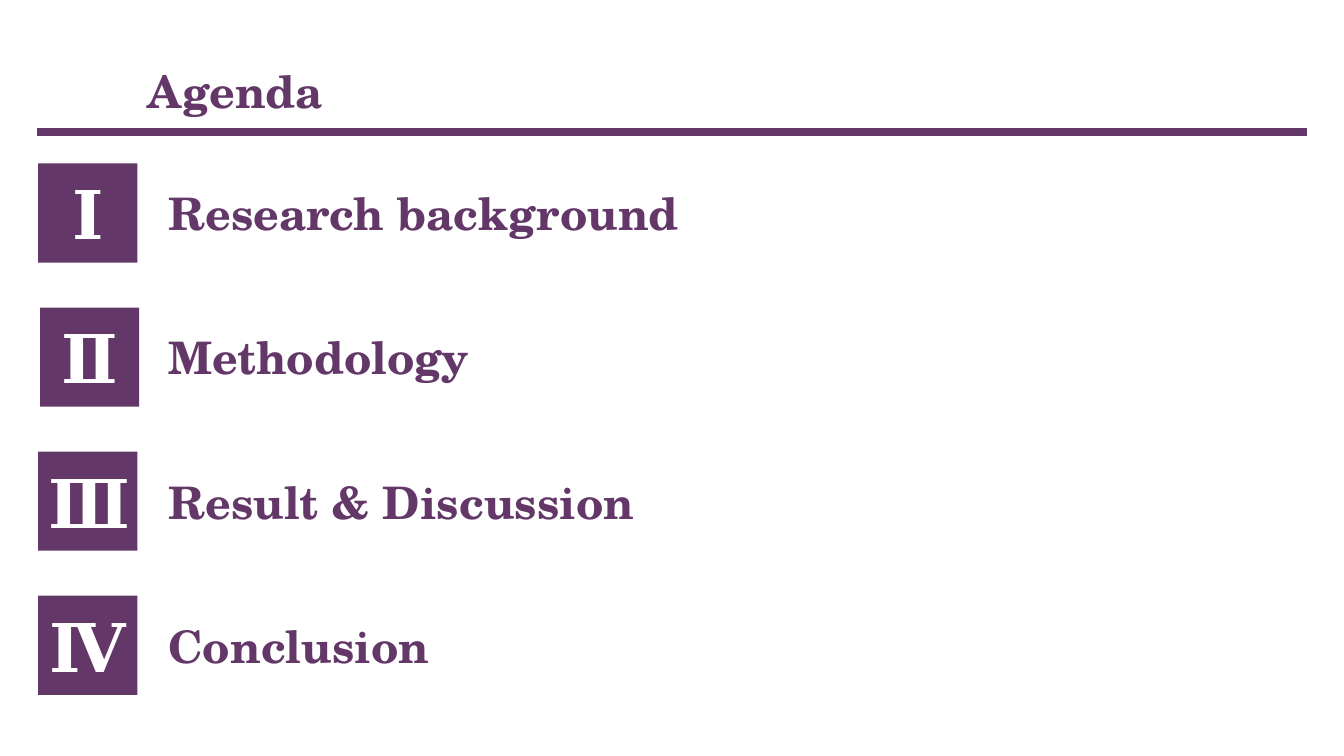
from lxml import etree
from pptx import Presentation
from pptx import util as u
from pptx.dml import color
from pptx.enum import shapes, text
from pptx.oxml import ns

PURPLE = "633869"
WHITE = "FFFFFF"


def rgb(value):
    return color.RGBColor.from_string(value)


class AgendaSlide:
    """Draws agenda elements on one slide in a shared style, in points."""

    heading_font = "TeX Gyre Schola"
    numeral_font = "Times New Roman"

    def __init__(self, slide):
        self.slide = slide

    def set_label(self, text_frame, content, font_name, size, tint):
        text_frame.text = content
        run = text_frame.paragraphs[0].runs[0]
        run.font.name = font_name
        run.font.size = u.Pt(size)
        run.font.bold = True
        run.font.color.rgb = rgb(tint)
        return run

    def heading(self, content, left, top, width):
        box = self.slide.shapes.add_textbox(
            u.Pt(left), u.Pt(top), u.Pt(width), u.Pt(46))
        frame = box.text_frame
        frame.word_wrap = True
        frame.auto_size = text.MSO_AUTO_SIZE.SHAPE_TO_FIT_TEXT
        self.set_label(frame, content, self.heading_font, 32, PURPLE)

    def badge(self, numeral, left, top, side):
        shape = self.slide.shapes.add_shape(
            shapes.MSO_SHAPE.RECTANGLE,
            u.Pt(left), u.Pt(top), u.Pt(side), u.Pt(side))
        shape.shadow.inherit = False
        shape.fill.solid()
        shape.fill.fore_color.rgb = rgb(PURPLE)
        shape.line.fill.background()
        frame = shape.text_frame
        frame.vertical_anchor = text.MSO_ANCHOR.MIDDLE
        run = self.set_label(frame, numeral, self.numeral_font, 48, WHITE)
        frame.paragraphs[0].alignment = text.PP_ALIGN.CENTER
        properties = run._r.get_or_add_rPr()
        east_asian = etree.SubElement(properties, ns.qn("a:ea"))
        east_asian.set("typeface", self.numeral_font)

    def rule(self, left, right, top, weight):
        line = self.slide.shapes.add_connector(
            shapes.MSO_CONNECTOR.STRAIGHT,
            u.Pt(left), u.Pt(top), u.Pt(right), u.Pt(top))
        line.line.color.rgb = rgb(PURPLE)
        line.line.width = u.Pt(weight)
        etree.SubElement(line._element.spPr, ns.qn("a:effectLst"))


def main():
    presentation = Presentation()
    presentation.slide_width = u.Pt(960)
    presentation.slide_height = u.Pt(540)
    slide = presentation.slides.add_slide(presentation.slide_layouts[6])
    agenda = AgendaSlide(slide)

    agenda.heading("Agenda", 98.6, 41.8, 835)
    agenda.rule(26.6, 933.4, 94.5, 6)

    topics = [
        ("Ⅰ", "Research background", 27.3),
        ("Ⅱ", "Methodology", 28.7),
        ("Ⅲ", "Result & Discussion", 27.3),
        ("Ⅳ", "Conclusion", 27.3),
    ]
    first_top, pitch = 116.8, 102.9
    for index, (numeral, topic, badge_left) in enumerate(topics):
        top = first_top + index * pitch
        agenda.heading(topic, 113, top + 12.6, 821)
        agenda.badge(numeral, badge_left, top, 70.8)

    presentation.save("out.pptx")


if __name__ == "__main__":
    main()
